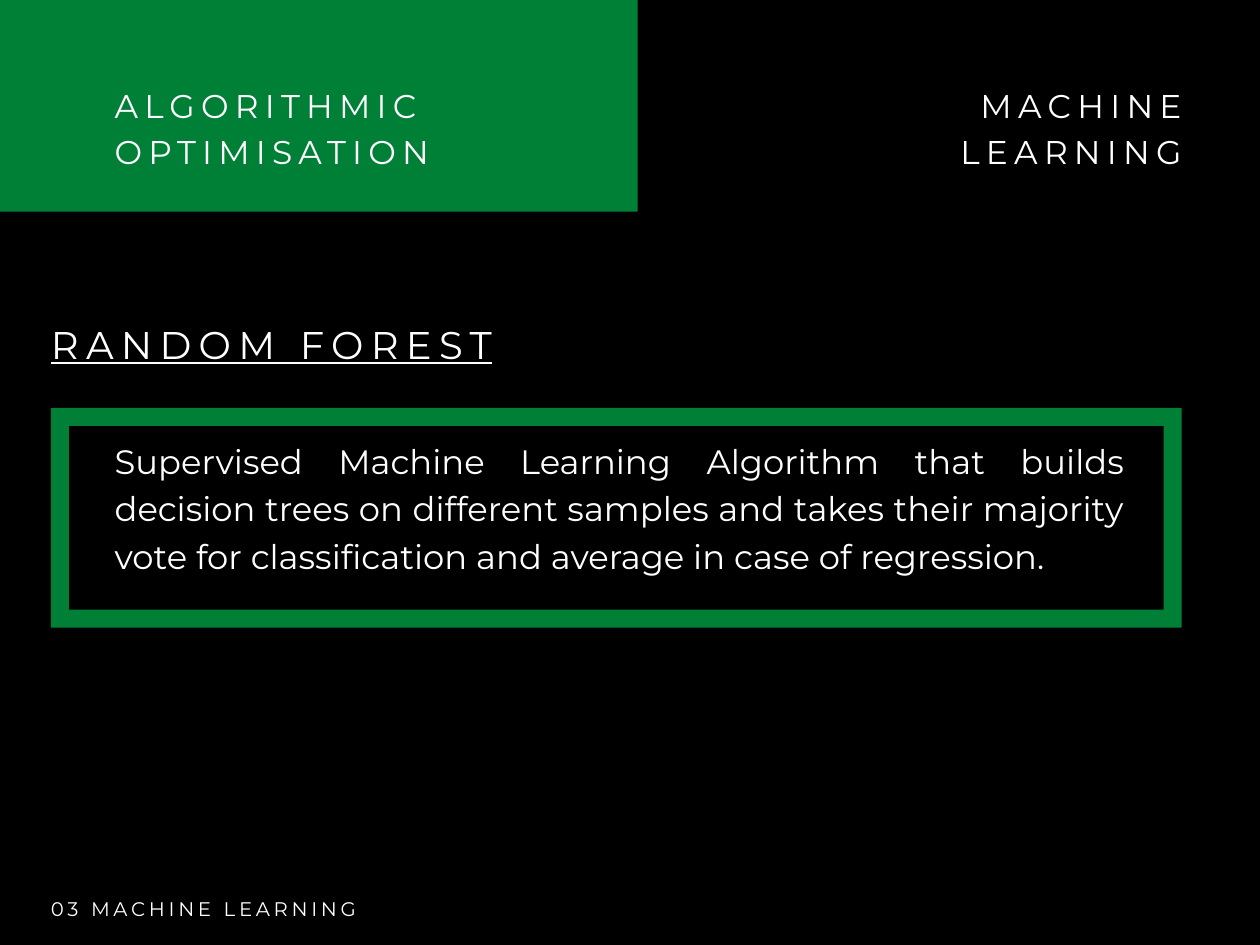
from dataclasses import dataclass

from pptx import Presentation
from pptx.dml.color import RGBColor as Rgb
from pptx.enum.shapes import MSO_SHAPE as Shape
from pptx.enum.text import MSO_ANCHOR as Anchor, MSO_AUTO_SIZE as Auto, PP_ALIGN as Align
from pptx.util import Pt


@dataclass(frozen=True)
class Theme:
    """Colours, font and type sizes of the slide."""
    back: Rgb = Rgb(0, 0, 0)
    green: Rgb = Rgb(0x00, 0x80, 0x37)
    ink: Rgb = Rgb(0xFF, 0xFF, 0xFF)
    font: str = "Montserrat"
    title: float = 23.5
    body: float = 20.6
    head: float = 20
    foot: float = 12
    lead: float = 1.402


THEME = Theme()


def place(shape, box):
    """Move a shape to a box of left, top, width and height."""
    shape.left, shape.top, shape.width, shape.height = map(Pt, box)


def write(shape, lines, size, align=Align.LEFT, track=0, under=False):
    """Fill a shape with one styled paragraph for each line."""
    frame = shape.text_frame
    frame.margin_left = frame.margin_right = frame.margin_top = frame.margin_bottom = 0
    frame.word_wrap, frame.auto_size = True, Auto.NONE
    frame.vertical_anchor = Anchor.TOP
    for i, line in enumerate(lines):
        para = frame.paragraphs[0] if i == 0 else frame.add_paragraph()
        para.alignment = align
        para.line_spacing = Pt(round(size * THEME.lead, 1))
        run = para.add_run()
        run.text = line
        font = run.font
        font.name, font.size, font.underline = THEME.font, Pt(size), under
        font.color.rgb = THEME.ink
        run._r.get_or_add_rPr().set("spc", str(round(track * 100)))


def add_text(slide, box, lines, size, **style):
    """Add a text box in the given box."""
    write(slide.shapes.add_textbox(*map(Pt, box)), lines, size, **style)


def paint(shape):
    """Make a shape plain green."""
    shape.shadow.inherit = False
    shape.fill.solid()
    shape.fill.fore_color.rgb = THEME.green
    shape.line.fill.background()


def add_band(slide, box):
    """Place the green arrow band that bleeds off the top left corner."""
    x, y, w, h = box
    tip, neck, end = x - 140.4, x - 95, x + w
    dots = [(end, y + h), (neck, y + h), (tip, y), (neck, y - h), (end, y - h)]
    dots = [(Pt(a), Pt(b)) for a, b in dots]
    path = slide.shapes.build_freeform(*dots[0])
    path.add_line_segments(dots[1:], close=True)
    paint(path.convert_to_shape())


def add_head(slide, box):
    """Place the green band and the two header labels."""
    x, y, w, h = box
    add_band(slide, (x, y, 388.6, h))
    top, tall, wide = y + 48.24, 54.72, 223.2
    add_text(slide, (x + 69.84, top, 451.4, tall), ["ALGORITHMIC", "OPTIMISATION"],
             THEME.head, track=3.8)
    add_text(slide, (x + w - wide, top, wide, tall), ["MACHINE", "LEARNING"],
             THEME.head, align=Align.RIGHT, track=3.8)


def add_title(slide, box):
    """Place the underlined title."""
    title = slide.shapes.title
    place(title, box)
    write(title, ["RANDOM FOREST"], THEME.title, track=4.46, under=True)


def add_panel(slide, box):
    """Place the framed definition."""
    x, y, w, h = box
    edge, pad = 11, 38.84
    frame = slide.shapes.add_shape(Shape.FRAME, *map(Pt, box))
    paint(frame)
    frame.adjustments[0] = edge / h
    add_text(slide, (x + pad, y + 15.8, 615.6, 85.7),
             ["Supervised Machine Learning Algorithm that builds decision trees on "
              "different samples and takes their majority vote for classification "
              "and average in case of regression."],
             THEME.body, align=Align.JUSTIFY)


def add_foot(slide, box):
    """Place the section label."""
    add_text(slide, box, ["03 MACHINE LEARNING"], THEME.foot, track=2.28)


def main():
    """Build and save the slide."""
    deck = Presentation()
    deck.slide_width, deck.slide_height = Pt(768), Pt(576)
    slide = deck.slides.add_slide(deck.slide_layouts[5])
    slide.background.fill.solid()
    slide.background.fill.fore_color.rgb = THEME.back
    left, wide = 31, 689.2
    add_head(slide, (0, 0, left + wide, 128.9))
    add_title(slide, (left, 190.8, 549, 31))
    add_panel(slide, (left, 248.6, wide, 134))
    add_foot(slide, (left, 544.3, 331, 16))
    deck.save("out.pptx")


if __name__ == "__main__":
    main()
